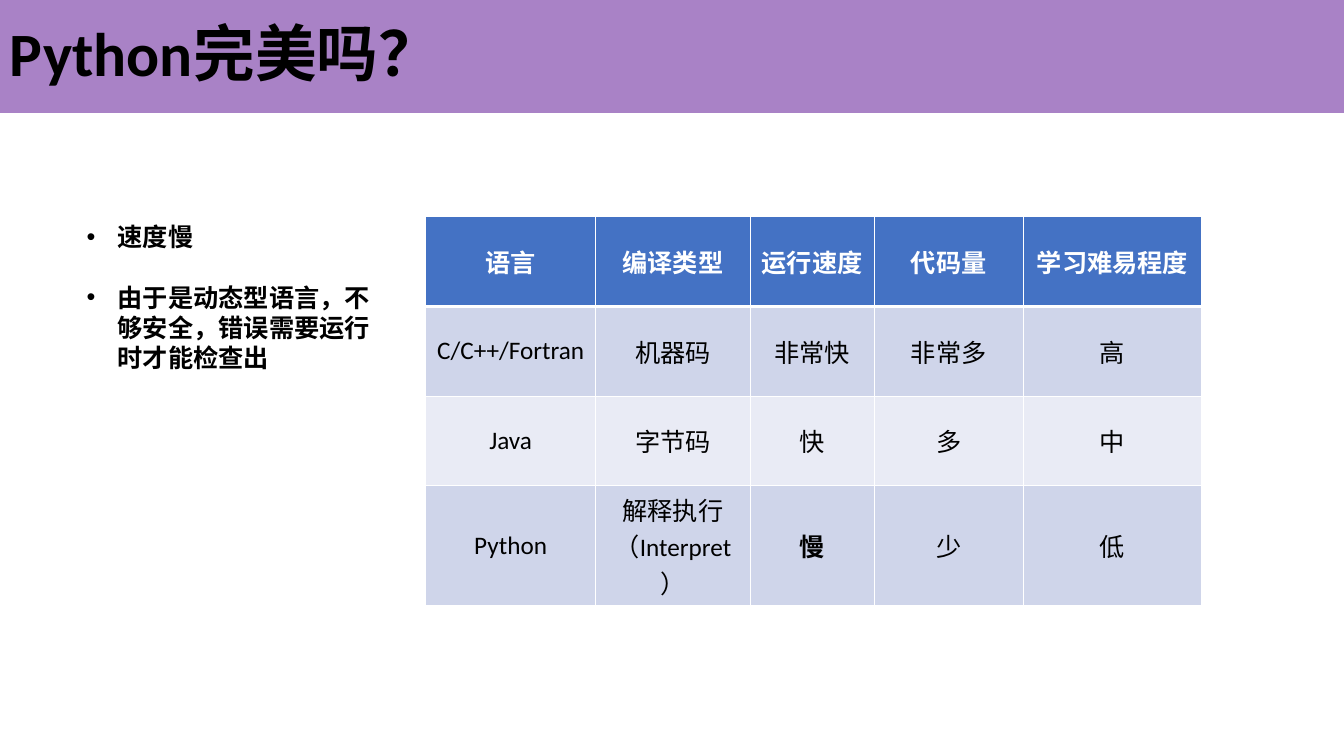
from lxml.etree import SubElement
from pptx import Presentation
from pptx.dml.color import RGBColor
from pptx.enum.shapes import MSO_SHAPE
from pptx.enum.text import MSO_ANCHOR, PP_ALIGN
from pptx.oxml.ns import qn
from pptx.util import Inches, Pt

FONT = "Calibri"
BLACK, WHITE = "000000", "FFFFFF"
PURPLE, BLUE = "7030A0", "4472C4"
BANDS = ("CFD5EA", "E9EBF5")
COLUMN_WIDTHS = (1.69, 1.53, 1.23, 1.48, 1.77)
ROW_HEIGHT = 0.89
LANGUAGES = (
    ("语言", "编译类型", "运行速度", "代码量", "学习难易程度"),
    ("C/C++/Fortran", "机器码", "非常快", "非常多", "高"),
    ("Java", "字节码", "快", "多", "中"),
    ("Python", "解释执行\n（Interpret）", "慢", "少", "低"),
)
DRAWBACKS = ("速度慢", "由于是动态型语言，不够安全，错误需要运行时才能检查出")


def paint(color_format, color):
    """Set a colour from a hex string."""
    color_format.rgb = RGBColor.from_string(color)


def fill_solid(fill, color):
    """Give a fill one plain colour."""
    fill.solid()
    paint(fill.fore_color, color)


def style_text(frame, size, color, bold, align=PP_ALIGN.LEFT):
    """Format every paragraph and run of a text frame."""
    for para in frame.paragraphs:
        para.alignment = align
        for span in para.runs:
            span.font.name = FONT
            span.font.size = Pt(size)
            span.font.bold = bold
            paint(span.font.color, color)


def add_title(page, text):
    """Add the translucent title band across the top."""
    band = page.shapes.add_shape(
        MSO_SHAPE.RECTANGLE, 0, 0, Inches(13.33), Inches(1.12))
    band.shadow.inherit = False
    fill_solid(band.fill, PURPLE)
    tint = band.fill._xPr.find(qn("a:solidFill"))[0]
    SubElement(tint, qn("a:alpha"), val="60000")
    band.line.fill.background()
    frame = band.text_frame
    frame.text = text
    frame.vertical_anchor = MSO_ANCHOR.MIDDLE
    frame.paragraphs[0].line_spacing = 0.9
    style_text(frame, 44, BLACK, True)


def add_bullets(page, items):
    """Add the bulleted list beside the table."""
    box = page.shapes.add_textbox(
        Inches(0.26), Inches(2.15), Inches(3.71), Inches(1.92))
    frame = box.text_frame
    frame.word_wrap = True
    frame.text = "\n".join(items)
    style_text(frame, 18, BLACK, True)
    for para in frame.paragraphs:
        para.space_after = Pt(21.5)
        properties = para._p.get_or_add_pPr()
        properties.set("marL", str(Inches(0.81)))
        properties.set("indent", str(Inches(-0.31)))
        SubElement(properties, qn("a:buFont"), typeface="Arial")
        SubElement(properties, qn("a:buChar"), char="•")


def add_borders(cell, bottom_width):
    """Draw white cell edges with a chosen bottom width."""
    properties = cell._tc.get_or_add_tcPr()
    edges = (("lnL", 1), ("lnR", 1), ("lnT", 1), ("lnB", bottom_width))
    for index, (name, width) in enumerate(edges):
        edge = SubElement(properties, qn(f"a:{name}"), w=str(Pt(width)))
        solid = SubElement(edge, qn("a:solidFill"))
        SubElement(solid, qn("a:srgbClr"), val=WHITE)
        properties.insert(index, edge)


def fill_cell(cell, text, row):
    """Write and format one cell according to its row."""
    header = row == 0
    cell.text = text
    cell.vertical_anchor = MSO_ANCHOR.MIDDLE
    fill_solid(cell.fill, BLUE if header else BANDS[(row - 1) % 2])
    style_text(cell.text_frame, 18, WHITE if header else BLACK,
               header or text == "慢", PP_ALIGN.CENTER)
    add_borders(cell, 3 if header else 1)


def add_language_table(page, rows):
    """Add the table that compares the languages."""
    table = page.shapes.add_table(
        len(rows), len(COLUMN_WIDTHS), Inches(4.22), Inches(2.15),
        Inches(sum(COLUMN_WIDTHS)), Inches(ROW_HEIGHT * len(rows))).table
    for column, width in zip(table.columns, COLUMN_WIDTHS):
        column.width = Inches(width)
    for row, texts in enumerate(rows):
        table.rows[row].height = Inches(ROW_HEIGHT)
        for column, text in enumerate(texts):
            fill_cell(table.cell(row, column), text, row)


def main():
    """Build and save the slide."""
    deck = Presentation()
    deck.slide_width, deck.slide_height = Inches(13.33), Inches(7.5)
    page = deck.slides.add_slide(deck.slide_layouts[6])
    add_title(page, "Python完美吗？")
    add_language_table(page, LANGUAGES)
    add_bullets(page, DRAWBACKS)
    deck.save("out.pptx")


main()
